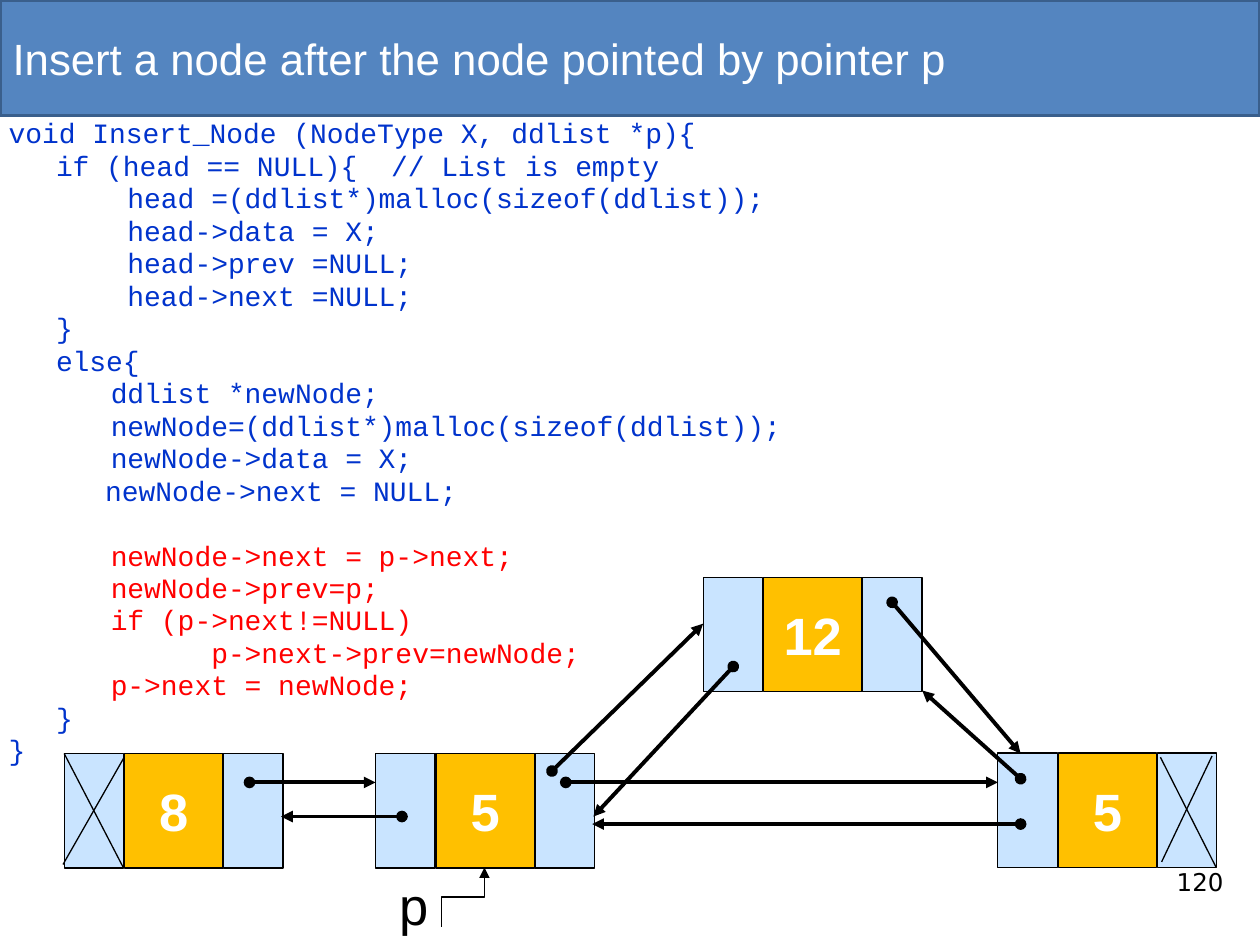
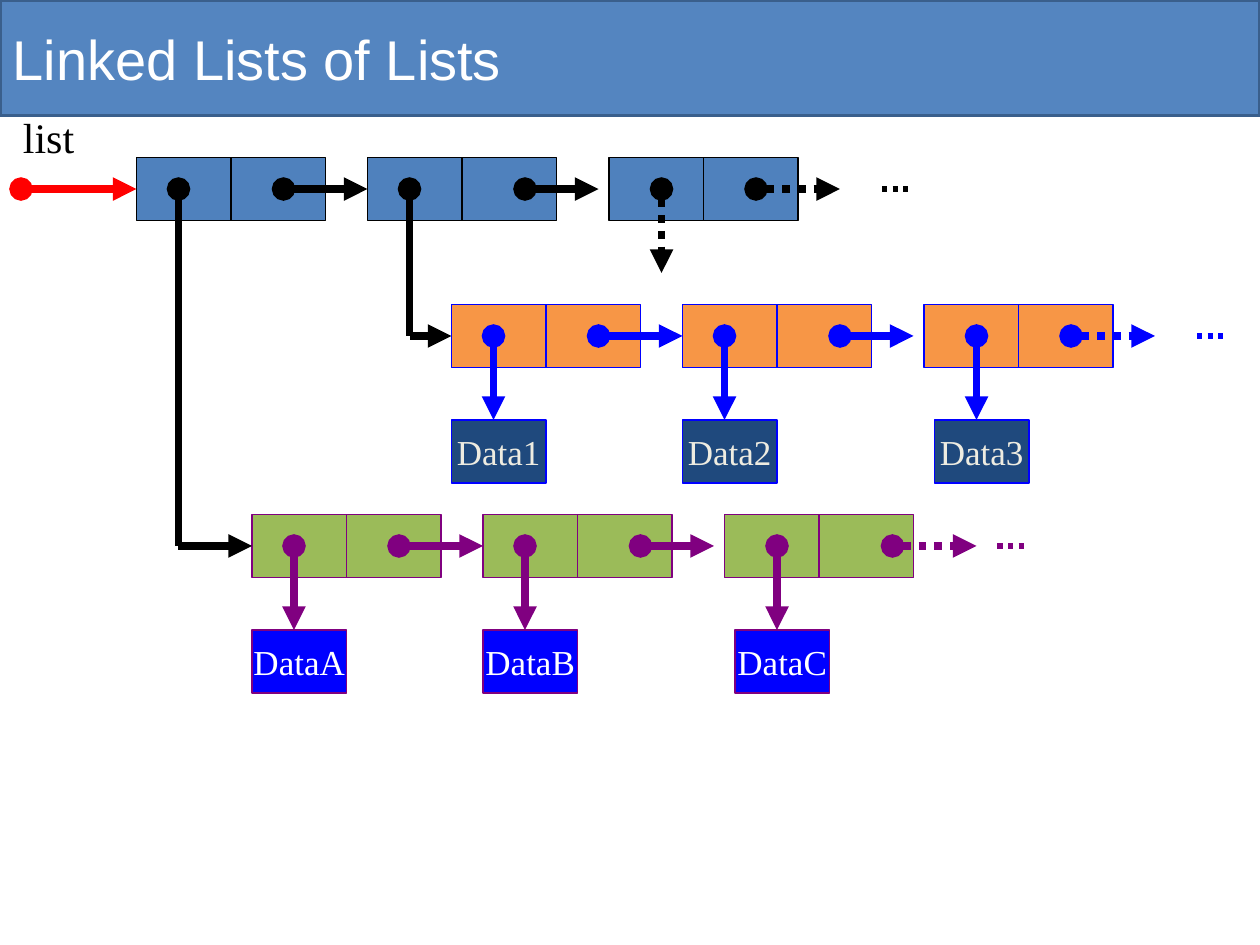
from lxml import etree
from pptx import Presentation
from pptx.dml.color import RGBColor
from pptx.enum import dml, shapes, text
from pptx.oxml import ns
from pptx.util import Pt

BAND_BLUE = RGBColor(0x54, 0x85, 0xC0)
BAND_EDGE = RGBColor(0x3A, 0x5F, 0x8C)
CODE_BLUE = RGBColor(0x00, 0x33, 0xCC)
RED = RGBColor(0xFF, 0x00, 0x00)
BLACK = RGBColor(0x00, 0x00, 0x00)
WHITE = RGBColor(0xFF, 0xFF, 0xFF)
POINTER_FILL = RGBColor(0xC9, 0xE4, 0xFF)
VALUE_FILL = RGBColor(0xFF, 0xC0, 0x00)
STEEL = RGBColor(0x4F, 0x81, 0xBD)
ORANGE = RGBColor(0xF7, 0x96, 0x46)
GREEN = RGBColor(0x9B, 0xBB, 0x59)
PURPLE = RGBColor(0x80, 0x00, 0x80)
BLUE = RGBColor(0x00, 0x00, 0xFF)
NAVY = RGBColor(0x1F, 0x49, 0x7D)
CREAM = RGBColor(0xEE, 0xEC, 0xE1)

SANS, SERIF, MONO = "Arial", "Times New Roman", "Courier New"

# Left indents of the code, in points
OUTER, INNER, INNER_HANG = 27, 58.3, 36
CODE_GAP = 3.2
BLANK_LINE = 18.56

# (indent, colour, text, extra space before)
CODE = [
    (0, CODE_BLUE, "void Insert_Node (NodeType X, ddlist *p){", 0),
    (OUTER, CODE_BLUE, "if (head == NULL){  // List is empty", 0),
    (INNER, CODE_BLUE, " head =(ddlist*)malloc(sizeof(ddlist));", 0),
    (INNER, CODE_BLUE, " head->data = X;", 0),
    (INNER, CODE_BLUE, " head->prev =NULL;", 0),
    (INNER, CODE_BLUE, " head->next =NULL;", 0),
    (OUTER, CODE_BLUE, "}", 0),
    (OUTER, CODE_BLUE, "else{", 0),
    (INNER, CODE_BLUE, "ddlist *newNode;", 0),
    (INNER, CODE_BLUE, "newNode=(ddlist*)malloc(sizeof(ddlist));", 0),
    (INNER, CODE_BLUE, "newNode->data = X;", 0),
    (INNER_HANG, CODE_BLUE, "  newNode->next = NULL;", 0),
    (INNER, RED, "newNode->next = p->next;", BLANK_LINE),
    (INNER, RED, "newNode->prev=p;", 0),
    (INNER, RED, "if (p->next!=NULL)", 0),
    (INNER, RED, "      p->next->prev=newNode;", 0),
    (INNER, RED, "p->next = newNode;", 0),
    (OUTER, CODE_BLUE, "}", 0),
    (0, CODE_BLUE, "}", 0),
]

# Doubly linked nodes: a pointer cell, a value cell, a pointer cell
POINTER_W, VALUE_W, NODE_H = 34, 56.2, 65.4
VALUE_DX, NEXT_DX = 34.5, 91.1
NODES = [(36.7, 430.6, "8"), (214.6, 430.6, "5"),
         (401.8, 329.8, "12"), (570.2, 430.2, "5")]
CROSSES = [(36.7, 430.6, 70.6, 496), (36, 494, 70.6, 433.4),
           (663.8, 492.5, 692.6, 432), (694.8, 495.4, 663.1, 432.7)]
POINTERS = [
    (142.6, 447.1, 214.6, 447.1), (229.7, 466.6, 160.6, 466.6),
    (323.3, 447.1, 570.2, 447.1), (583.2, 470.9, 338.4, 470.9),
    (509.8, 344.2, 583.2, 430.6), (419, 380.9, 339.1, 466.6),
    (583.2, 445, 527, 394.6), (315.4, 440.6, 401.8, 356.4),
]

# Lists of lists: two cells per node, offsets from the left end of a row
CELL_W, CELL_H = 54, 36
NODE_DX = (0, 132, 270)
HEAD_DX = (24, 156, 300)
DATA_DX = (0, 132, 276)
DATA_DY = 66


def style_font(font, name, size, color, bold=False):
    font.name, font.size, font.bold = name, Pt(size), bold
    font.color.rgb = color


def add_titled_slide(prs, layout, title, size):
    """Add a slide whose title placeholder forms the blue band."""
    slide = prs.slides.add_slide(prs.slide_layouts[layout])
    band = slide.shapes.title
    band.left, band.top, band.width, band.height = 0, 0, prs.slide_width, Pt(66)
    band.fill.solid()
    band.fill.fore_color.rgb = BAND_BLUE
    band.line.color.rgb = BAND_EDGE
    band.line.width = Pt(2)
    frame = band.text_frame
    frame.text = title
    frame.auto_size = text.MSO_AUTO_SIZE.NONE
    frame.vertical_anchor = text.MSO_ANCHOR.MIDDLE
    frame.paragraphs[0].alignment = text.PP_ALIGN.LEFT
    style_font(frame.paragraphs[0].font, SANS, size, WHITE)
    return slide


def fill_code(body):
    body.left, body.top, body.width, body.height = Pt(-2.2), Pt(66.2), Pt(714), Pt(404.6)
    frame = body.text_frame
    frame.auto_size = text.MSO_AUTO_SIZE.NONE
    for number, (indent, color, code, extra) in enumerate(CODE):
        line = frame.add_paragraph() if number else frame.paragraphs[0]
        line.text = code
        line.level = 1 if indent > OUTER else 0
        props = line._p.get_or_add_pPr()
        props.set("marL", str(Pt(indent)))
        props.set("indent", "0")
        line.line_spacing = 0.8
        line.space_before = Pt(CODE_GAP + extra if number else 0)
        etree.SubElement(props, ns.qn("a:buNone"))
        style_font(line.font, MONO, 16, color)


def add_label(slide, x, y, w, h, words, font, size, inset=7.2):
    frame = slide.shapes.add_textbox(Pt(x), Pt(y), Pt(w), Pt(h)).text_frame
    frame.word_wrap = True
    frame.margin_left = frame.margin_right = Pt(inset)
    frame.text = words
    style_font(frame.paragraphs[0].font, font, size, BLACK)


def add_cell(slide, x, y, w, h, fill, edge=BLACK):
    cell = slide.shapes.add_shape(shapes.MSO_SHAPE.RECTANGLE, Pt(x), Pt(y), Pt(w), Pt(h))
    cell.shadow.inherit = False
    cell.fill.solid()
    cell.fill.fore_color.rgb = fill
    cell.line.color.rgb = edge
    cell.line.width = Pt(0.75)
    return cell


def write_in_cell(cell, words, font, size, color, bold=False):
    frame = cell.text_frame
    frame.word_wrap = False
    frame.vertical_anchor = text.MSO_ANCHOR.MIDDLE
    frame.text = words
    frame.paragraphs[0].alignment = text.PP_ALIGN.CENTER
    style_font(frame.paragraphs[0].font, font, size, color, bold)


def add_line(slide, ends, width, color=BLACK, dot=False, arrow=False, dotted=False,
             kind=shapes.MSO_CONNECTOR.STRAIGHT):
    """Draw a line, with a dot where it starts and an arrow where it ends if asked."""
    line = slide.shapes.add_connector(kind, *map(Pt, ends))
    line.line.color.rgb = color
    line.line.width = Pt(width)
    if dotted:
        line.line.dash_style = dml.MSO_LINE.ROUND_DOT
    props = line._element.spPr
    stroke = props.find(ns.qn("a:ln"))
    if dot:
        etree.SubElement(stroke, ns.qn("a:headEnd"), type="oval")
    if arrow:
        etree.SubElement(stroke, ns.qn("a:tailEnd"), type="triangle")
    etree.SubElement(props, ns.qn("a:effectLst"))
    return line


def add_double_node(slide, x, y, value):
    for dx in (0, NEXT_DX):
        add_cell(slide, x + dx, y, POINTER_W, NODE_H, POINTER_FILL)
    middle = add_cell(slide, x + VALUE_DX, y, VALUE_W, NODE_H, VALUE_FILL)
    write_in_cell(middle, value, SANS, 30, WHITE, bold=True)


def add_list_row(slide, x, y, fill, color, last_dx=354):
    """Draw three nodes, the links between them and the closing dots."""
    for dx in NODE_DX:
        for side in (0, CELL_W):
            add_cell(slide, x + dx + side, y, CELL_W, CELL_H, fill, color)
    mid = y + CELL_H / 2
    for start, end in ((84, 132), (222, 264), (last_dx, last_dx + 48)):
        add_line(slide, (x + start, mid, x + end, mid), 4.5, color,
                 dot=True, arrow=True, dotted=start == last_dx)
    add_line(slide, (x + 426, mid, x + 444, mid), 3, color, dotted=True)


def add_data_boxes(slide, x, y, names, fill, edge, ink):
    for name, head_dx, data_dx in zip(names, HEAD_DX, DATA_DX):
        add_line(slide, (x + head_dx, y + CELL_H / 2, x + head_dx, y + DATA_DY), 4.5, edge,
                 dot=True, arrow=True)
        box = add_cell(slide, x + data_dx, y + DATA_DY, CELL_W, CELL_H, fill, edge)
        write_in_cell(box, name, SERIF, 20, ink)


def add_sublist_link(slide, x, y, to_x, to_y):
    add_line(slide, (x, to_y, to_x, to_y), 4.5, arrow=True)
    add_line(slide, (x, y, x, to_y), 4.5, dot=True)


def build_insert_slide(prs):
    slide = add_titled_slide(prs, 1, "Insert a node after the node pointed by pointer p", 25)
    add_label(slide, 665.3, 491.8, 46, 23, "120", "DejaVu Sans", 14)
    fill_code(slide.placeholders[1])
    for node in NODES:
        add_double_node(slide, *node)
    for stroke in CROSSES:
        add_line(slide, stroke, 0.75)
    for pointer in POINTERS:
        add_line(slide, pointer, 2.25, dot=True, arrow=True)
    add_label(slide, 223.9, 495.4, 28.8, 43.9, "p", SANS, 30, inset=4.3)
    p_arrow = add_line(slide, (281.5, 524.9, 247.7, 500.4), 0.75, arrow=True,
                       kind=shapes.MSO_CONNECTOR.ELBOW)
    p_arrow._element.spPr.find(ns.qn("a:xfrm")).set("rot", str(90 * 60000))


def build_lists_slide(prs):
    slide = add_titled_slide(prs, 5, "Linked Lists of Lists", 32)
    top_x, top_y = 78, 90
    number_x, number_y = 258, 174
    letter_x, letter_y = 144, 294
    head_y = top_y + CELL_H / 2

    add_label(slide, 6, 60, 54, 36, "list", SERIF, 24)
    add_list_row(slide, top_x, top_y, STEEL, BLACK)
    add_line(slide, (12, head_y, top_x, head_y), 4.5, RED, dot=True, arrow=True)
    open_x = top_x + HEAD_DX[2]
    add_line(slide, (open_x, head_y, open_x, head_y + 48), 4.5,
             dot=True, arrow=True, dotted=True)

    add_list_row(slide, letter_x, letter_y, GREEN, PURPLE, last_dx=366)
    add_data_boxes(slide, letter_x, letter_y, ("DataA", "DataB", "DataC"), BLUE, PURPLE, WHITE)
    add_sublist_link(slide, top_x + HEAD_DX[0], head_y, letter_x, letter_y + CELL_H / 2)

    add_list_row(slide, number_x, number_y, ORANGE, BLUE)
    add_data_boxes(slide, number_x, number_y, ("Data1", "Data2", "Data3"), NAVY, BLUE, CREAM)
    add_sublist_link(slide, top_x + HEAD_DX[1], head_y, number_x, number_y + CELL_H / 2)


def main():
    prs = Presentation()
    prs.slide_width, prs.slide_height = Pt(720), Pt(540)
    build_insert_slide(prs)
    build_lists_slide(prs)
    prs.save("out.pptx")


if __name__ == "__main__":
    main()
